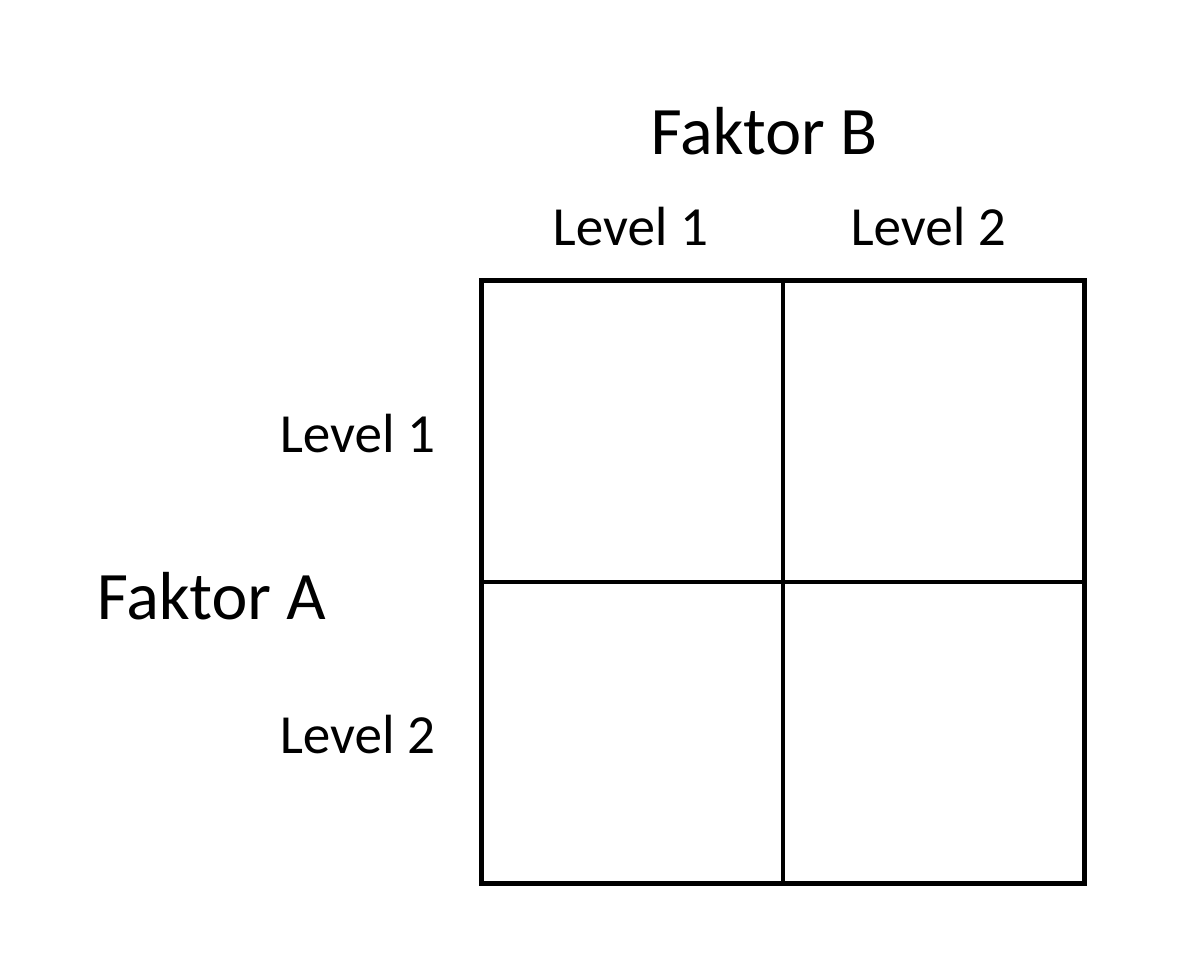
from dataclasses import dataclass

from pptx import Presentation
from pptx import util as u
from pptx.dml.color import RGBColor
from pptx.enum import shapes, text
from pptx.oxml.ns import qn

PX = u.Inches(1) / 153


@dataclass(frozen=True)
class Theme:
    ink: RGBColor = RGBColor(0, 0, 0)
    paper: RGBColor = RGBColor(255, 255, 255)
    font: str = "Calibri"
    factor: int = 32
    level: int = 26
    rule: float = 2.25


THEME = Theme()
LEVELS = ("Level 1", "Level 2")


def emu(*lengths):
    return [round(length * PX) for length in lengths]


def style_line(line):
    line.color.rgb = THEME.ink
    line.width = u.Pt(THEME.rule)


def add_label(slide, words, size, left, top, width, height):
    label = slide.shapes.add_textbox(*emu(left, top, width, height))
    frame = label.text_frame
    frame.text = words
    frame.word_wrap = False
    frame.auto_size = text.MSO_AUTO_SIZE.SHAPE_TO_FIT_TEXT
    font = frame.paragraphs[0].runs[0].font
    for name, value in {"name": THEME.font, "size": u.Pt(size)}.items():
        setattr(font, name, value)
    font.color.rgb = THEME.ink


def draw_grid(slide, left, top, width, height):
    """Square of four cells, divided between the middles of its sides."""
    square = slide.shapes.add_shape(
        shapes.MSO_SHAPE.RECTANGLE, *emu(left, top, width, height))
    square.shadow.inherit = False
    square.fill.solid()
    square.fill.fore_color.rgb = THEME.paper
    style_line(square.line)
    # Sharp corners
    outline = square._element.spPr.find(qn("a:ln"))
    outline.append(outline.makeelement(qn("a:miter"), {"lim": "800000"}))

    # Dividers
    for begin_side, end_side in ((0, 2), (1, 3)):
        divider = slide.shapes.add_connector(
            shapes.MSO_CONNECTOR.STRAIGHT, 0, 0, 0, 0)
        divider.begin_connect(square, begin_side)
        divider.end_connect(square, end_side)
        style_line(divider.line)
        properties = divider._element.spPr
        properties.append(properties.makeelement(qn("a:effectLst"), {}))


def draw_row_factor(slide, left, top, width, height):
    """Factor A, left of the grid, with one level per row."""
    add_label(slide, "Faktor A", THEME.factor, left, top + 263, 295, 98)
    for row, level in enumerate(LEVELS):
        add_label(slide, level, THEME.level, left + width - 217,
                  top + 109 + row * height // 2, 200, 83)


def draw_column_factor(slide, left, top, width, height):
    """Factor B, above the grid, with one level per column."""
    add_label(slide, "Faktor B", THEME.factor, left + 154, top, 294, 98)
    for column, level in enumerate(LEVELS):
        add_label(slide, level, THEME.level, left + 56 + column * 298,
                  top + height - 98, 199, 83)


def main():
    deck = Presentation()
    deck.slide_width, deck.slide_height = u.Cm(20), u.Cm(16)
    slide = deck.slides.add_slide(deck.slide_layouts[6])

    left, top, side = 482, 281, 603
    draw_grid(slide, left, top, side, side)
    draw_row_factor(slide, 82, top, left - 82, side)
    draw_column_factor(slide, left, 79, side, top - 79)

    deck.save("out.pptx")


if __name__ == "__main__":
    main()
